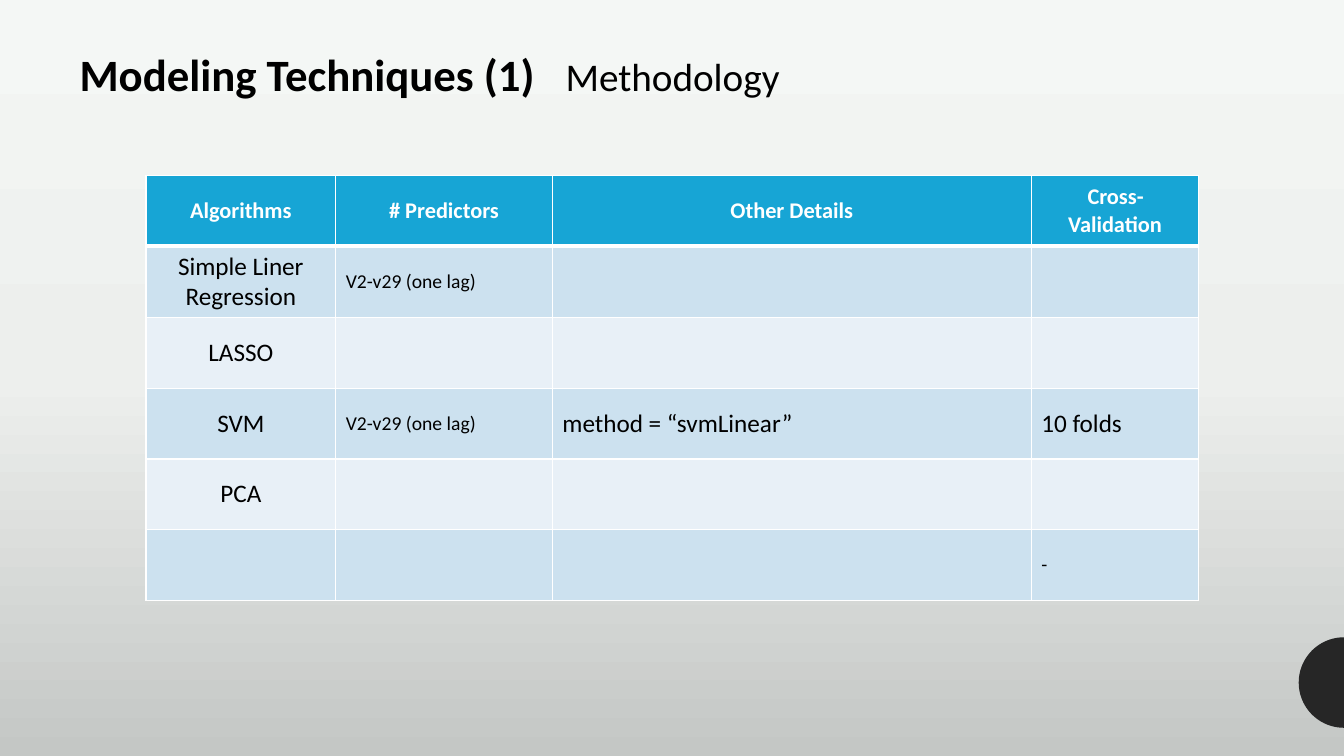
from copy import deepcopy
from math import cos, pi, sin

from lxml import etree
from pptx import Presentation
from pptx.dml.color import RGBColor
from pptx.enum.text import MSO_ANCHOR, MSO_AUTO_SIZE, PP_ALIGN
from pptx.oxml.ns import qn
from pptx.util import Cm, Pt

MIDDLE = MSO_ANCHOR.MIDDLE
FIXED = MSO_AUTO_SIZE.NONE
LEFT, CENTER = PP_ALIGN.LEFT, PP_ALIGN.CENTER

FONT = "Calibri"
COLORS = {
    "ink": "000000", "white": "FFFFFF", "head": "17A5D5",
    "odd": "CCE1EF", "even": "E8F0F7", "disc": "262626",
    "top": "F4F7F5", "mid": "EDEFED", "base": "C4C7C5",
}
WIDTH, HEIGHT = 33.87, 19.05

COLS = [4.78, 5.46, 12.07, 4.22]
ROW = 1.78
ROWS = [
    ["Algorithms", "# Predictors", "Other Details", "Cross-Validation"],
    ["Simple Liner Regression", "V2-v29 (one lag)", "", ""],
    ["LASSO", "", "", ""],
    ["SVM", "V2-v29 (one lag)", "method = “svmLinear”", "10 folds"],
    ["PCA", "", "", ""],
    ["", "", "", "-"],
]
SMALL = {"V2-v29 (one lag)", "-"}


def tint(name):
    return RGBColor.from_string(COLORS[name])


def write(par, text, size=18, color="ink", bold=False, align=LEFT):
    par.alignment = align
    run = par.add_run()
    run.text = text
    run.font.name = FONT
    run.font.size = Pt(size)
    run.font.bold = bold
    run.font.color.rgb = tint(color)


def edge(cell, side, width):
    """Draw a white border on one side (L, R, T or B) of a cell."""
    props = cell._tc.get_or_add_tcPr()
    line = etree.SubElement(props, qn(f"a:ln{side}"), w=str(Pt(width)))
    fill = etree.SubElement(line, qn("a:solidFill"))
    etree.SubElement(fill, qn("a:srgbClr"), val=COLORS["white"])


class Page:
    def __init__(self, deck):
        self.slide = deck.slides.add_slide(deck.slide_layouts[5])

    def backdrop(self, names):
        """Fill the background downwards with evenly spaced colours."""
        fill = self.slide.background.fill
        fill.gradient()
        fill.gradient_angle = 270
        stops = self.slide._element.find(".//" + qn("a:gsLst"))
        while len(stops) < len(names):
            stops.append(deepcopy(stops[0]))
        for i, (stop, name) in enumerate(zip(fill.gradient_stops, names)):
            stop.position = i / (len(names) - 1)
            stop.color.rgb = tint(name)

    def disc(self, x, y, radius, steps=48):
        """Draw the left half of a disc centred on x, y."""
        turns = [pi / 2 + pi * i / steps for i in range(steps + 1)]
        points = [(Cm(x + radius * cos(t)), Cm(y - radius * sin(t)))
                  for t in turns]
        build = self.slide.shapes.build_freeform(*points[0])
        build.add_line_segments(points[1:])
        shape = build.convert_to_shape()
        shape.shadow.inherit = False
        shape.fill.solid()
        shape.fill.fore_color.rgb = tint("disc")
        shape.line.fill.background()

    def title(self, main, sub, x, y, w, h, tab):
        """Write a bold title and a lighter part set at a tab stop."""
        box = self.slide.shapes.title
        box.left, box.top, box.width, box.height = map(Cm, (x, y, w, h))
        frame = box.text_frame
        frame.auto_size = FIXED
        frame.word_wrap = True
        frame.vertical_anchor = MIDDLE
        par = frame.paragraphs[0]
        write(par, main + "\t", size=32, bold=True)
        write(par, sub, size=28)
        tabs = etree.SubElement(par._p.get_or_add_pPr(), qn("a:tabLst"))
        etree.SubElement(tabs, qn("a:tab"), pos=str(Cm(tab)), algn="l")

    def table(self, rows, x, y):
        frame = self.slide.shapes.add_table(
            len(rows), len(COLS), Cm(x), Cm(y),
            Cm(sum(COLS)), Cm(ROW * len(rows)))
        grid = frame.table
        for col, width in zip(grid.columns, COLS):
            col.width = Cm(width)
        for r, texts in enumerate(rows):
            grid.rows[r].height = Cm(ROW)
            for c, text in enumerate(texts):
                self.cell(grid.cell(r, c), text, r, c)

    def cell(self, cell, text, r, c):
        head = r == 0
        for side in "LRTB":
            thick = (r, side) in ((0, "B"), (1, "T"))
            edge(cell, side, 3 if thick else 1)
        cell.fill.solid()
        cell.fill.fore_color.rgb = tint(
            "head" if head else "odd" if r % 2 else "even")
        cell.vertical_anchor = MIDDLE
        if text:
            write(cell.text_frame.paragraphs[0], text,
                  size=16 if head else 14 if text in SMALL else 18,
                  color="white" if head else "ink", bold=head,
                  align=CENTER if head or c == 0 else LEFT)


def main():
    deck = Presentation()
    deck.slide_width, deck.slide_height = Cm(WIDTH), Cm(HEIGHT)
    page = Page(deck)
    page.backdrop(["top", "mid", "base"])
    page.disc(WIDTH, 17.2, 1.14)
    page.title("Modeling Techniques (1)", "Methodology",
               1.75, 1.04, 27.28, 1.63, tab=12.25)
    page.table(ROWS, 3.68, 4.42)
    deck.save("out.pptx")


if __name__ == "__main__":
    main()
